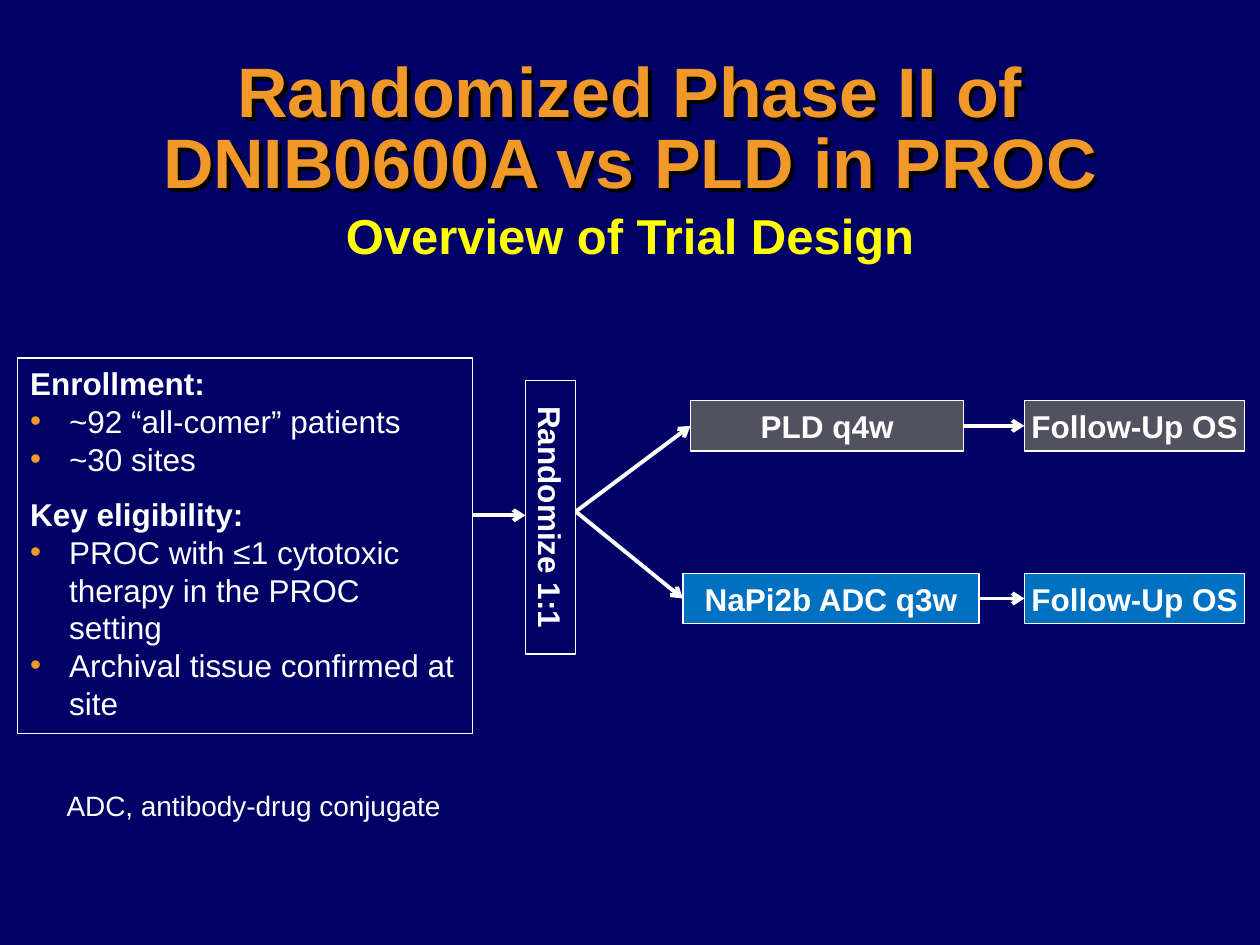
from pptx import Presentation, util as u
from pptx.dml import color
from pptx.enum import shapes, text
from pptx.oxml import ns, parse_xml

COLUMNS, ROWS = 100, 75
WHITE, ORANGE, YELLOW = "FFFFFF", "F09828", "FFFF00"
NAVY, GREY, BLUE = "000066", "515160", "0070C0"
NAMESPACE = ns.nsdecls("a")

presentation = Presentation()
presentation.slide_width, presentation.slide_height = u.Inches(10), u.Inches(7.5)
slide = presentation.slides.add_slide(presentation.slide_layouts[6])


def rgb(value):
    return color.RGBColor.from_string(value)


def x(columns):
    return int(presentation.slide_width * columns / COLUMNS)


def y(rows):
    return int(presentation.slide_height * rows / ROWS)


def area(left, top, width, height):
    return x(left), y(top), x(width), y(height)


def style(paragraph, size, bold=False, fill=WHITE, align=text.PP_ALIGN.LEFT):
    paragraph.alignment = align
    for run in paragraph.runs:
        font = run.font
        font.name, font.size, font.bold = "Arial", u.Pt(size), bold
        font.color.rgb = rgb(fill)


def label(left, top, width, height, words, size, **look):
    box = slide.shapes.add_textbox(*area(left, top, width, height))
    box.text_frame.word_wrap = True
    box.text_frame.text = words
    style(box.text_frame.paragraphs[0], size, **look)
    return box


def panel(left, top, width, height, fill=None):
    shape = slide.shapes.add_shape(
        shapes.MSO_SHAPE.RECTANGLE, *area(left, top, width, height))
    shape.shadow.inherit = False
    shape.line.color.rgb, shape.line.width = rgb(WHITE), u.Pt(0.75)
    if fill:
        shape.fill.solid()
        shape.fill.fore_color.rgb = rgb(fill)
    else:
        shape.fill.background()
    shape.text_frame.word_wrap = True
    return shape


def step(left, top, width, height, words, fill=None):
    shape = panel(left, top, width, height, fill)
    frame = shape.text_frame
    frame.margin_left = frame.margin_right = u.Inches(0.05)
    frame.text = words
    style(frame.paragraphs[0], 18, bold=True, align=text.PP_ALIGN.CENTER)
    return shape


def arrow(start, end, source=None, target=None):
    connector = slide.shapes.add_connector(
        shapes.MSO_CONNECTOR.STRAIGHT, x(start[0]), y(start[1]), x(end[0]), y(end[1]))
    if source:
        connector.begin_connect(source, 3)
    if target:
        connector.end_connect(target, 1)
    connector.line.color.rgb, connector.line.width = rgb(WHITE), u.Pt(2.25)
    connector.line._get_or_add_ln().append(
        parse_xml(f'<a:tailEnd {NAMESPACE} type="arrow"/>'))
    connector._element.spPr.append(parse_xml(f"<a:effectLst {NAMESPACE}/>"))


def add_heading(left, top, width):
    title = label(left, top, width, 12.5, "Randomized Phase II of DNIB0600A vs PLD in PROC",
                  40, bold=True, fill=ORANGE, align=text.PP_ALIGN.CENTER)
    title.text_frame.paragraphs[0].line_spacing = 0.85
    title.text_frame.vertical_anchor = text.MSO_ANCHOR.MIDDLE
    title._element.spPr.append(parse_xml(
        f'<a:effectLst {NAMESPACE}><a:outerShdw dist="38100" dir="2700000">'
        '<a:srgbClr val="000000"/></a:outerShdw></a:effectLst>'))
    label(left + 8.4, top + 11.6, width - 16.8, 5.7, "Overview of Trial Design",
          28, bold=True, fill=YELLOW, align=text.PP_ALIGN.CENTER)


def add_bullet(paragraph):
    properties = paragraph._p.get_or_add_pPr()
    properties.set("marL", str(u.Inches(0.31)))
    properties.set("indent", str(-u.Inches(0.31)))
    for element in (f'<a:buClr {NAMESPACE}><a:srgbClr val="{ORANGE}"/></a:buClr>',
                    f'<a:buFont {NAMESPACE} typeface="Arial"/>',
                    f'<a:buChar {NAMESPACE} char="•"/>'):
        properties.append(parse_xml(element))


def add_criteria(left, top, width, height, groups):
    frame = panel(left, top, width, height).text_frame
    frame.vertical_anchor = text.MSO_ANCHOR.TOP
    lines = [(words, index == 0) for group in groups for index, words in enumerate(group)]
    frame.text = "\n".join(words for words, _ in lines)
    for index, (paragraph, (_, heading)) in enumerate(zip(frame.paragraphs, lines)):
        if not heading:
            add_bullet(paragraph)
        elif index:
            paragraph.space_before = u.Pt(10)
        style(paragraph, 18, bold=heading)


def add_randomization(left, top, width, height):
    shape = step(left + (width - height) / 2, top + (height - width) / 2,
                 height, width, "Randomize 1:1")
    shape.rotation = 90


def add_arm(left, top, width, height, words, fill, treatment_width, fork):
    follow_up_width = 17.5
    follow_up_left = left + width - follow_up_width
    middle = top + height / 2
    treatment = step(left, top, treatment_width, height, words, fill)
    follow_up = step(follow_up_left, top, follow_up_width, height, "Follow-Up OS", fill)
    arrow(fork, (left, middle), target=treatment)
    arrow((left + treatment_width, middle), (follow_up_left, middle), treatment, follow_up)


def main():
    slide.background.fill.solid()
    slide.background.fill.fore_color.rgb = rgb(NAVY)
    add_heading(3.7, 4.2, 92.6)
    add_criteria(1.4, 28.4, 36.1, 29.8, [
        ("Enrollment:", "~92 “all-comer” patients", "~30 sites"),
        ("Key eligibility:", "PROC with ≤1 cytotoxic therapy in the PROC setting",
         "Archival tissue confirmed at site")])
    add_randomization(41.7, 30.2, 4, 21.7)
    arrow((37.5, 40.9), (41.7, 40.9))
    right = 98.8
    for left, top, treatment_width, words, fill in (
            (54.8, 31.8, 21.7, "PLD q4w", GREY),
            (54.2, 45.5, 23.5, "NaPi2b ADC q3w", BLUE)):
        add_arm(left, top, right - left, 4, words, fill, treatment_width, (45.7, 40.6))
    label(4.3, 62.1, 92, 3.7, "ADC, antibody-drug conjugate", 16)
    presentation.save("out.pptx")


if __name__ == "__main__":
    main()
